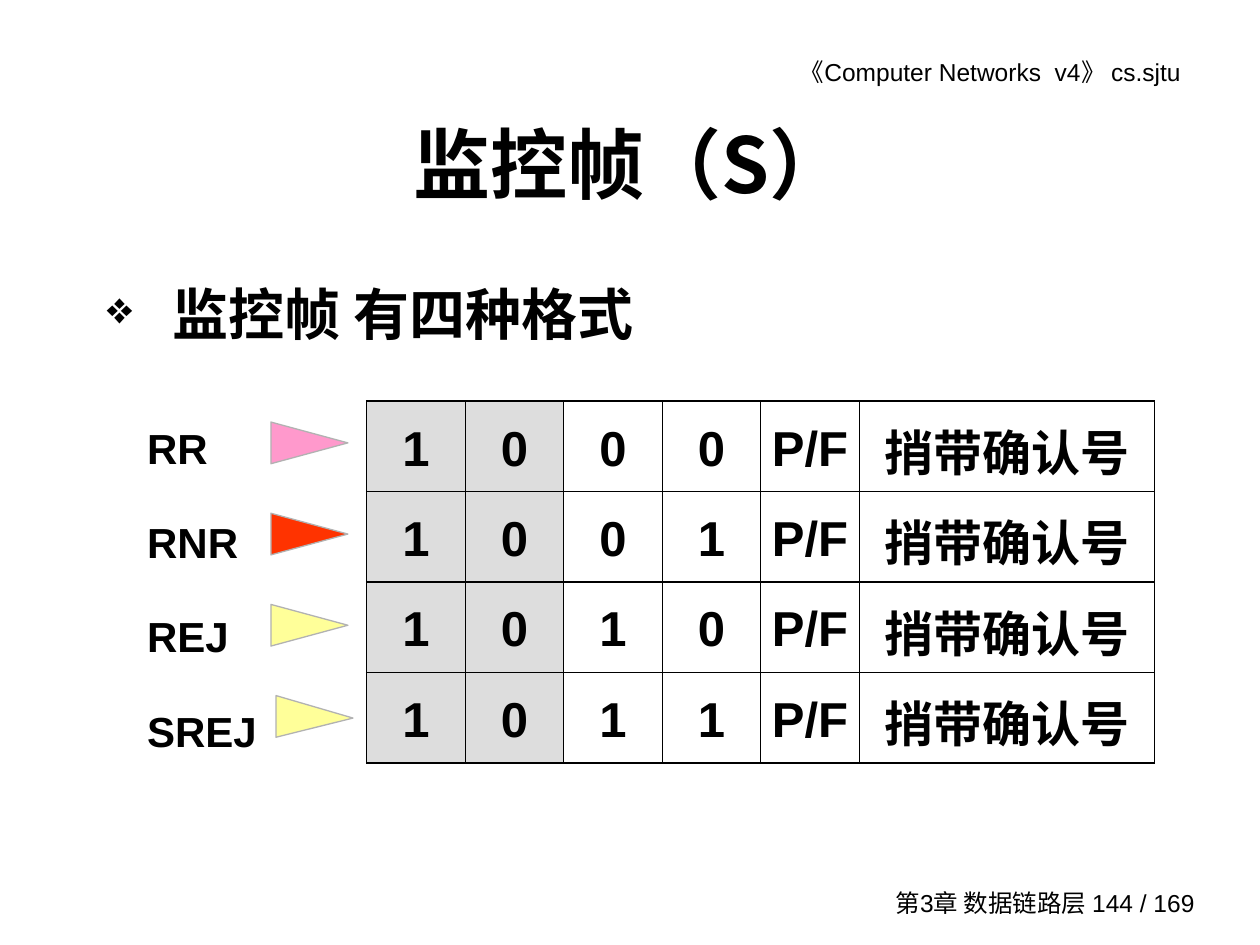
from dataclasses import dataclass
from typing import Sequence

from lxml import etree
from pptx import Presentation
from pptx.dml.color import RGBColor
from pptx.enum.shapes import MSO_SHAPE
from pptx.enum.text import MSO_ANCHOR, PP_ALIGN
from pptx.oxml.ns import qn
from pptx.util import Pt

TRIANGLE = MSO_SHAPE.ISOSCELES_TRIANGLE
TOP, MIDDLE = MSO_ANCHOR.TOP, MSO_ANCHOR.MIDDLE
LEFT, CENTER, RIGHT = PP_ALIGN.LEFT, PP_ALIGN.CENTER, PP_ALIGN.RIGHT

LATIN, CHINESE = "Arial", "Noto Sans CJK SC"
COLORS = {
    "ink": "000000",
    "fixed_bits": "DDDDDD",
    "outline": "B2B2B2",
    "pink": "FF99CC",
    "red": "FF3300",
    "yellow": "FFFF99",
}
ROW_HEIGHT, BIT_WIDTH, ACK_WIDTH = 51.7, 56.3, 168.7
THICK, THIN = 1.08, 0.45
MARKER_TOP, MARKER_PITCH = 231.1, 52.1


@dataclass(frozen=True)
class Frame:
    name: str
    bits: str
    color: str
    marker_left: float = 164.9
    tip: float = 0.5


FRAMES = [
    Frame("RR", "1000", "pink"),
    Frame("RNR", "1001", "red"),
    Frame("REJ", "1010", "yellow"),
    Frame("SREJ", "1011", "yellow", 167.8, 0.54),
]


def rgb(name: str) -> RGBColor:
    """Look up a named colour."""
    return RGBColor.from_string(COLORS[name])


def add_bullet(paragraph, char: str, indent: float) -> None:
    """Give a paragraph a hanging bullet at 80 percent size."""
    props = paragraph._p.get_or_add_pPr()
    props.set("marL", str(Pt(indent)))
    props.set("indent", str(-Pt(indent)))
    bullet_color = etree.SubElement(props, qn("a:buClr"))
    etree.SubElement(bullet_color, qn("a:srgbClr"), val=COLORS["ink"])
    etree.SubElement(props, qn("a:buSzPct"), val="80000")
    etree.SubElement(props, qn("a:buChar"), char=char)


def write(text_frame, lines: Sequence[str], *, size: float, font: str = LATIN,
          bold: bool = True, align=LEFT, spacing: float = 1.0,
          gap: float = 0, bullet: str = "") -> None:
    """Write lines as formatted paragraphs."""
    for index, line in enumerate(lines):
        paragraph = text_frame.add_paragraph() if index else text_frame.paragraphs[0]
        if bullet:
            add_bullet(paragraph, bullet, 37.4)
        paragraph.alignment = align
        paragraph.line_spacing = spacing
        paragraph.space_before = Pt(gap if index else 0)
        run = paragraph.add_run()
        run.text = line
        run.font.size, run.font.bold, run.font.name = Pt(size), bold, font
        run.font.color.rgb = rgb("ink")
        etree.SubElement(run._r.get_or_add_rPr(), qn("a:ea"), typeface=CHINESE)


def add_text(slide, lines: Sequence[str], left: float, top: float, width: float,
             height: float, *, anchor=TOP, right_inset: float = 7.2, **style) -> None:
    """Place a wrapped text box."""
    box = slide.shapes.add_textbox(Pt(left), Pt(top), Pt(width), Pt(height))
    box.text_frame.word_wrap = True
    box.text_frame.vertical_anchor = anchor
    box.text_frame.margin_right = Pt(right_inset)
    write(box.text_frame, lines, **style)


def add_border(cell, side: str, width: float) -> None:
    """Draw one side of a cell border."""
    line = etree.SubElement(cell._tc.get_or_add_tcPr(), qn(f"a:ln{side}"), w=str(Pt(width)))
    fill = etree.SubElement(line, qn("a:solidFill"))
    etree.SubElement(fill, qn("a:srgbClr"), val=COLORS["ink"])


def add_format_table(slide, frames: Sequence[Frame]) -> None:
    """Draw the bit layout of every supervisory frame."""
    widths = [BIT_WIDTH] * 5 + [ACK_WIDTH]
    table = slide.shapes.add_table(
        len(frames), len(widths), Pt(209.5), Pt(229.2),
        Pt(sum(widths)), Pt(ROW_HEIGHT * len(frames))).table
    table.first_row = table.horz_banding = False
    for column, width in zip(table.columns, widths):
        column.width = Pt(width)
    last = len(widths) - 1
    for row, frame in enumerate(frames):
        table.rows[row].height = Pt(ROW_HEIGHT)
        for column, value in enumerate([*frame.bits, "P/F", "捎带确认号"]):
            cell = table.cell(row, column)
            cell.margin_left = cell.margin_right = Pt(2.9)
            cell.vertical_anchor = MIDDLE
            write(cell.text_frame, [value], size=28, align=CENTER, spacing=1.1)
            add_border(cell, "L", THIN if column else THICK)
            add_border(cell, "R", THICK if column == last else THIN)
            add_border(cell, "T", THICK)
            add_border(cell, "B", THICK)
            if column < 2:
                cell.fill.solid()
                cell.fill.fore_color.rgb = rgb("fixed_bits")
            else:
                cell.fill.background()


def add_marker(slide, frame: Frame, top: float) -> None:
    """Draw the right-pointing marker of a frame."""
    marker = slide.shapes.add_shape(TRIANGLE, Pt(frame.marker_left), Pt(top), Pt(23.8), Pt(44))
    marker.rotation = 90
    marker.adjustments[0] = frame.tip
    marker.shadow.inherit = False
    marker.fill.solid()
    marker.fill.fore_color.rgb = rgb(frame.color)
    marker.line.color.rgb = rgb("outline")
    marker.line.width = Pt(0.75)


def main() -> None:
    """Build and save the slide."""
    deck = Presentation()
    deck.slide_width, deck.slide_height = Pt(720), Pt(540)
    slide = deck.slides.add_slide(deck.slide_layouts[6])
    add_text(slide, ["《Computer Networks  v4》 cs.sjtu"], 379.4, 28.8, 310.3, 24.5,
             size=14, bold=False, align=RIGHT, right_inset=15)
    add_text(slide, ["第3章 数据链路层 144 / 169"], 499.7, 504, 190, 23.8,
             size=14, bold=False, align=RIGHT, anchor=MIDDLE)
    add_text(slide, ["监控帧（S）"], 54, 48.2, 612, 90,
             size=44, font=CHINESE, align=CENTER, anchor=MIDDLE)
    add_text(slide, ["监控帧 有四种格式"], 54, 156.2, 612, 53.3, size=32, bullet="❖")
    add_format_table(slide, FRAMES)
    add_text(slide, [frame.name for frame in FRAMES], 77, 229, 87.8, 202.3,
             size=24, spacing=1.3, gap=16.5)
    for index, frame in enumerate(FRAMES):
        add_marker(slide, frame, MARKER_TOP + index * MARKER_PITCH)
    deck.save("out.pptx")


if __name__ == "__main__":
    main()
